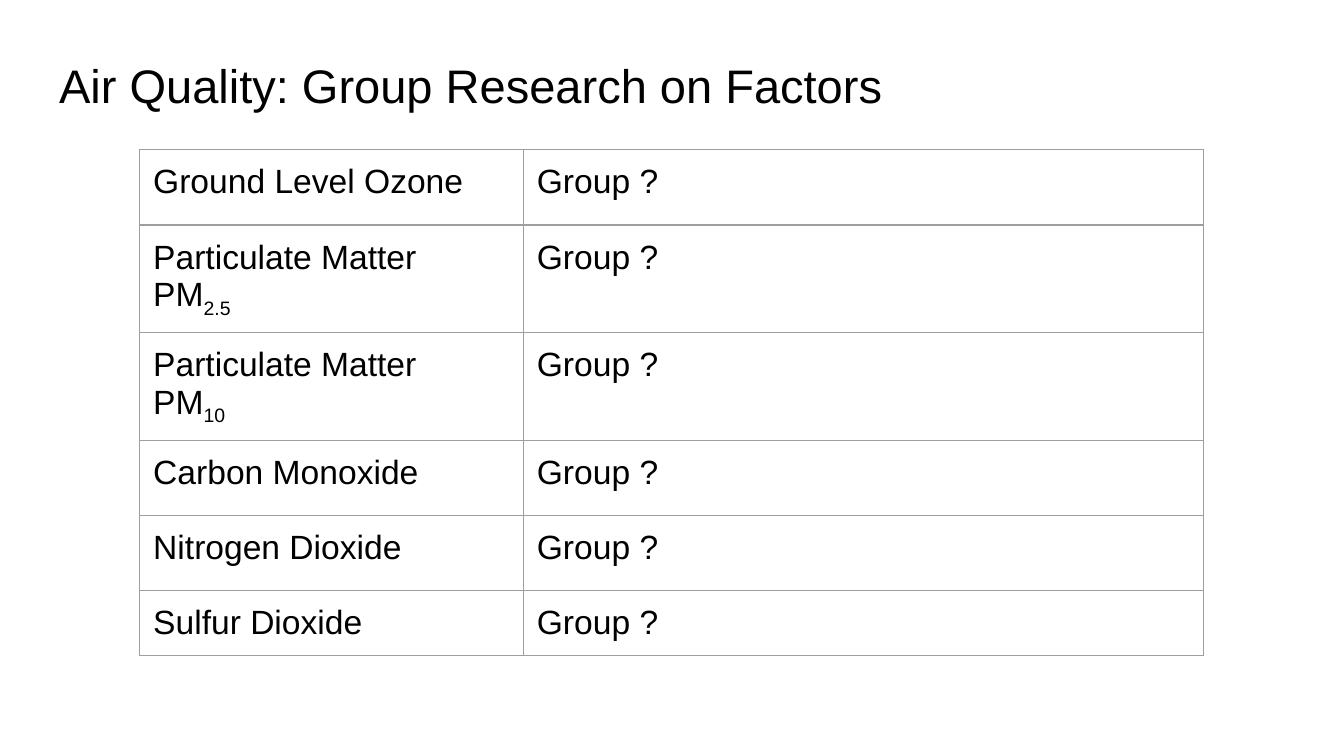
from pptx import Presentation
from pptx.dml.color import RGBColor
from pptx.enum.text import MSO_ANCHOR, MSO_AUTO_SIZE, PP_ALIGN
from pptx.oxml import parse_xml
from pptx.oxml.ns import nsdecls
from pptx.util import Pt

PX = 4572  # 200 px to the inch
COLORS = {"text": "000000", "border": "9E9E9E"}
FONT = "Arial"
INSET = 20 * PX


def style_paragraph(p, size):
    p.alignment = PP_ALIGN.LEFT
    p.font.name = FONT
    p.font.size = Pt(size)
    p.font.color.rgb = RGBColor.from_string(COLORS["text"])


def set_insets(box):
    box.margin_left = box.margin_right = INSET
    box.margin_top = box.margin_bottom = INSET


prs = Presentation()
prs.slide_width, prs.slide_height = 2000 * PX, 1125 * PX
s = prs.slides.add_slide(prs.slide_layouts[5])

# Title
title = s.shapes.title
title.left, title.top, title.width, title.height = 68 * PX, 64 * PX, 1864 * PX, 126 * PX
tf = title.text_frame
tf.text = "Air Quality: Group Research on Factors"
tf.word_wrap = True
tf.auto_size = MSO_AUTO_SIZE.NONE
tf.vertical_anchor = MSO_ANCHOR.TOP
set_insets(tf)
style_paragraph(tf.paragraphs[0], 25.2)

# Pollutants: name, then the subscript of an optional PM line
factors = [
    ("Ground Level Ozone", None),
    ("Particulate Matter", "2.5"),
    ("Particulate Matter", "10"),
    ("Carbon Monoxide", None),
    ("Nitrogen Dioxide", None),
    ("Sulfur Dioxide", None),
]
col_widths = [571, 1012]
row_heights = [112] * 5 + [22]

table = s.shapes.add_table(
    len(factors), len(col_widths), 208 * PX, 223 * PX,
    sum(col_widths) * PX, sum(row_heights) * PX,
).table
table.first_row = False
table.horz_banding = False
for column, width in zip(table.columns, col_widths):
    column.width = width * PX
for row, height in zip(table.rows, row_heights):
    row.height = height * PX

for row, (name, subscript) in zip(table.rows, factors):
    factor_cell, group_cell = row.cells
    factor_cell.text = name
    group_cell.text = "Group ?"
    if subscript:
        p = factor_cell.text_frame.add_paragraph()
        p.add_run().text = "PM"
        r = p.add_run()
        r.text = subscript
        r.font._element.set("baseline", "-25000")

for cell in table.iter_cells():
    set_insets(cell)
    cell.vertical_anchor = MSO_ANCHOR.TOP
    for p in cell.text_frame.paragraphs:
        style_paragraph(p, 18)
    tc_pr = cell._tc.get_or_add_tcPr()
    for side in ("lnL", "lnR", "lnT", "lnB"):
        tc_pr.append(parse_xml(
            f'<a:{side} {nsdecls("a")} w="{Pt(0.75)}"><a:solidFill>'
            f'<a:srgbClr val="{COLORS["border"]}"/></a:solidFill></a:{side}>'
        ))
    cell.fill.background()

prs.save("out.pptx")
